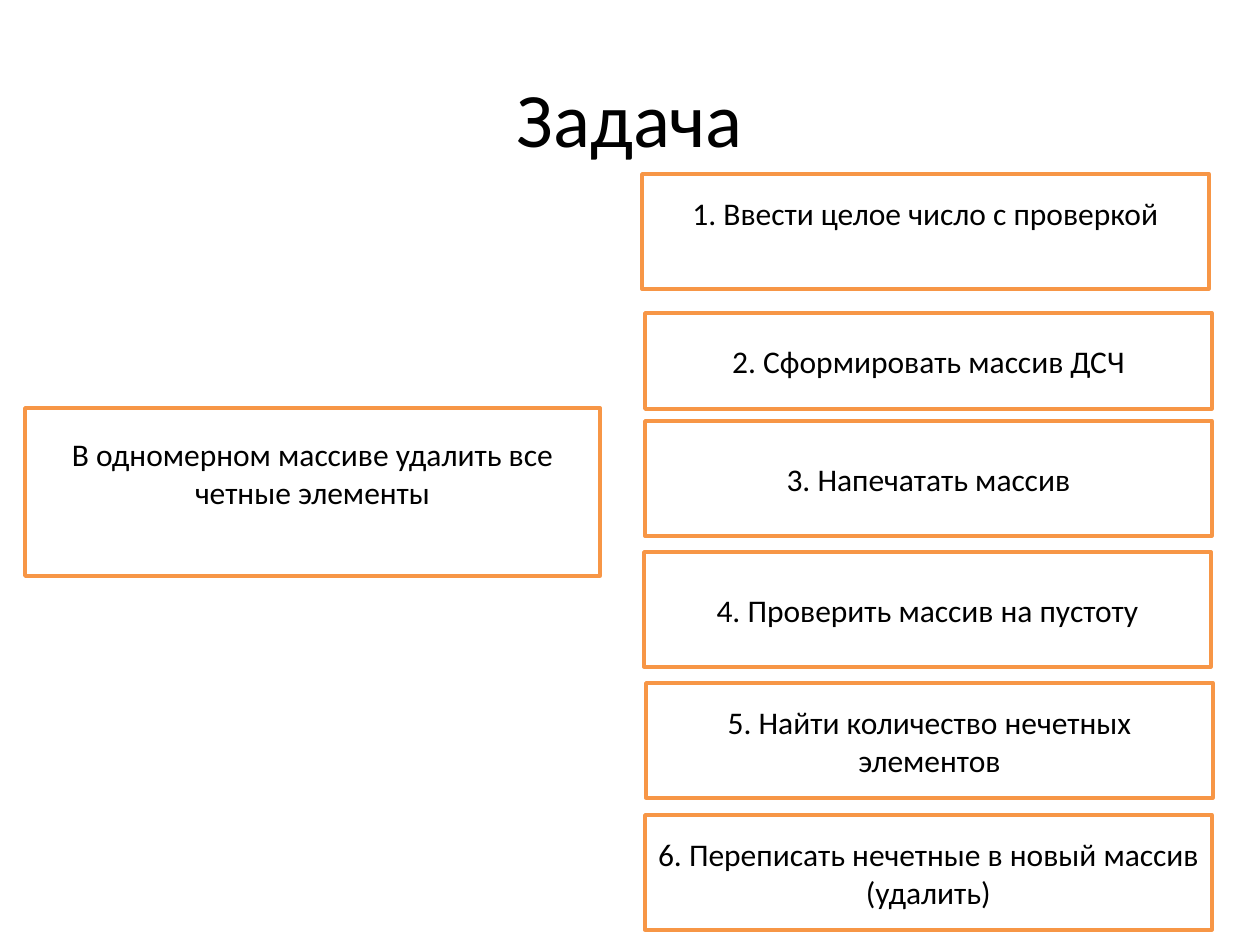
"""Build the slide that splits an array task into six steps."""
from pptx import Presentation
from pptx.dml.color import RGBColor
from pptx.enum.shapes import MSO_SHAPE
from pptx.enum.text import MSO_ANCHOR, PP_ALIGN
from pptx.util import Pt

RECT = MSO_SHAPE.RECTANGLE
MIDDLE = MSO_ANCHOR.MIDDLE
CENTER = PP_ALIGN.CENTER
BLACK = RGBColor(0x00, 0x00, 0x00)
WHITE = RGBColor(0xFF, 0xFF, 0xFF)
ORANGE = RGBColor(0xF7, 0x96, 0x46)
FONT = "Calibri"
SCALE = 914400 // 126
INSET, RAISED = 6, 44
STEP_W = 567

TITLE = "Задача"
TASK = ("В одномерном массиве удалить все четные элементы", 25, 408, 575, 168, RAISED)
STEPS = [
    ("1. Ввести целое число с проверкой", 642, 174, 115, RAISED),
    ("2. Сформировать массив ДСЧ", 645, 313, 96, INSET),
    ("3. Напечатать массив", 645, 421, 115, INSET),
    ("4. Проверить массив на пустоту", 644, 552, 115, INSET),
    ("5. Найти количество нечетных элементов", 646, 683, 115, INSET),
    ("6. Переписать нечетные в новый массив (удалить)", 645, 815, 115, INSET),
]


def px(size):
    return size * SCALE


def write(shape, text, size):
    frame = shape.text_frame
    frame.text = text
    frame.word_wrap = True
    frame.vertical_anchor = MIDDLE
    para = frame.paragraphs[0]
    para.alignment = CENTER
    para.font.name = FONT
    para.font.size = Pt(size)
    para.font.color.rgb = BLACK


def add_box(slide, text, left, top, width, height, foot):
    box = slide.shapes.add_shape(RECT, px(left), px(top), px(width), px(height))
    box.shadow.inherit = False
    box.fill.solid()
    box.fill.fore_color.rgb = WHITE
    box.line.color.rgb = ORANGE
    box.line.width = Pt(2)
    write(box, text, 18)
    box.text_frame.margin_bottom = px(foot)


def main():
    deck = Presentation()
    deck.slide_width, deck.slide_height = px(1260), px(945)
    slide = deck.slides.add_slide(deck.slide_layouts[5])
    title = slide.shapes.title
    title.left, title.top, title.width, title.height = map(px, (63, 38, 1134, 157))
    write(title, TITLE, 44)
    add_box(slide, *TASK)
    for text, left, top, height, foot in STEPS:
        add_box(slide, text, left, top, STEP_W, height, foot)
    deck.save("out.pptx")


if __name__ == "__main__":
    main()
